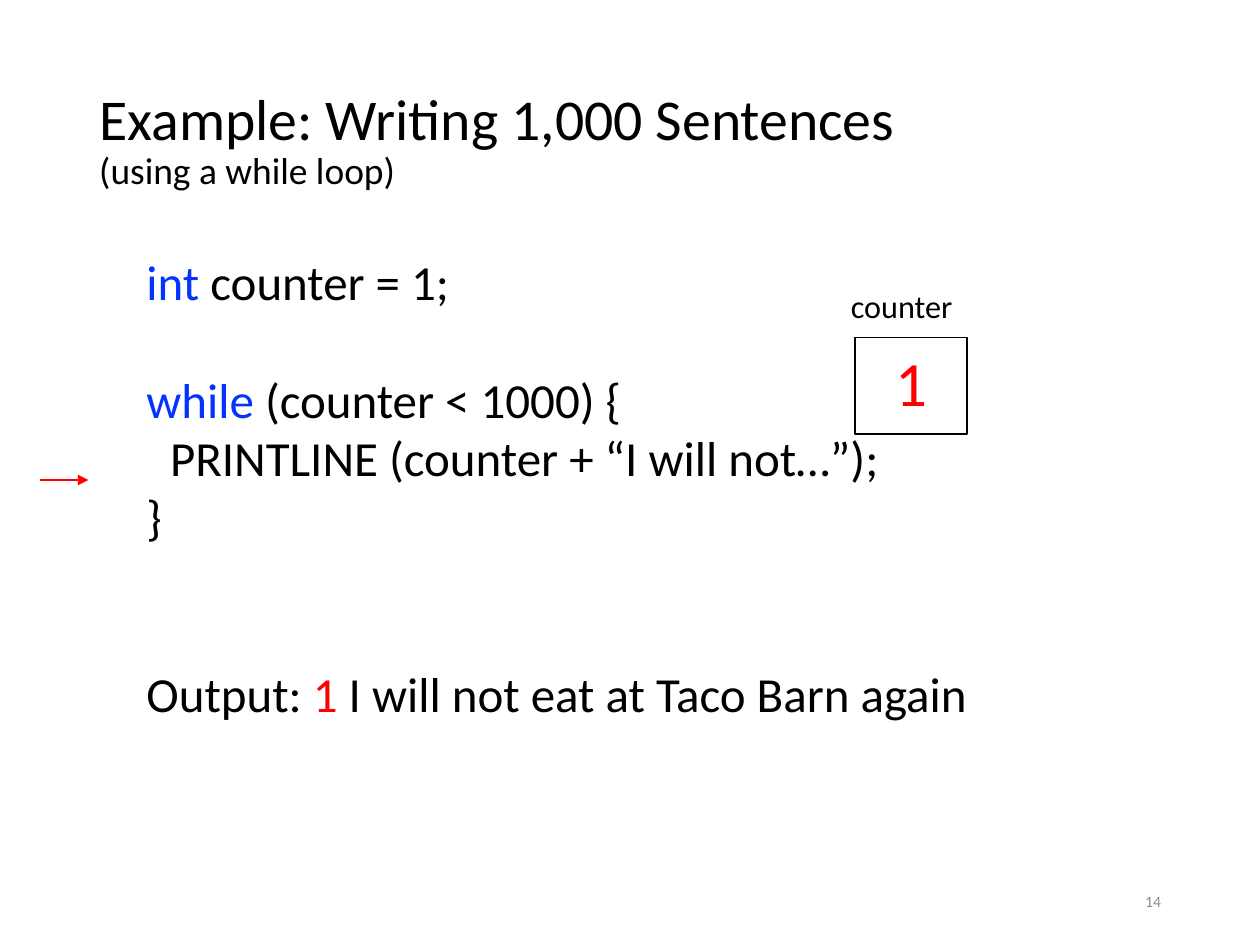
from lxml import etree
from pptx import Presentation
from pptx.dml.color import RGBColor
from pptx.enum.shapes import MSO_CONNECTOR, MSO_SHAPE
from pptx.enum.text import MSO_ANCHOR, MSO_AUTO_SIZE, PP_ALIGN
from pptx.oxml.ns import qn
from pptx.util import Pt

LEFT, RIGHT, CENTER = PP_ALIGN.LEFT, PP_ALIGN.RIGHT, PP_ALIGN.CENTER
TOP, MIDDLE = MSO_ANCHOR.TOP, MSO_ANCHOR.MIDDLE
RECTANGLE, STRAIGHT = MSO_SHAPE.RECTANGLE, MSO_CONNECTOR.STRAIGHT
NO_AUTOFIT = MSO_AUTO_SIZE.NONE

FONT = "Calibri"
COLORS = {"text": "000000", "keyword": "0432FF", "value": "FF0000", "number": "8C8C8C"}
CODE_SIZE = 28
LINE_GAP = 3.2
LINE_PITCH = 34
CODE_LINES = [
    (0, [("int ", "keyword"), ("counter = 1;", "text")]),
    (1, [("while", "keyword"), (" (counter < 1000) {", "text")]),
    (0, [("\tPRINTLINE (counter + “I will not…”);", "text")]),
    (0, [("}", "text")]),
    (2, [("Output: ", "text"), ("1", "value"), (" I will not eat at Taco Barn again", "text")]),
]


def color(name):
    """Return the named colour."""
    return RGBColor.from_string(COLORS[name])


def apply_format(target, values):
    """Set each attribute of the target from a dict of values."""
    for name, value in values.items():
        setattr(target, name, value)


def place(shape, box):
    """Move a shape to a box of left, top, width and height in points."""
    apply_format(shape, dict(zip(("left", "top", "width", "height"), map(Pt, box))))


def add_run(paragraph, text, size, color_name):
    """Add one formatted run to a paragraph."""
    run = paragraph.add_run()
    run.text = text
    apply_format(run.font, {"name": FONT, "size": Pt(size)})
    run.font.color.rgb = color(color_name)


def add_label(slide, box, text, size, color_name, alignment=LEFT, anchor=TOP, wrap=False):
    """Add a one-line text box."""
    frame = slide.shapes.add_textbox(*map(Pt, box)).text_frame
    apply_format(frame, {"word_wrap": wrap, "vertical_anchor": anchor})
    frame.paragraphs[0].alignment = alignment
    add_run(frame.paragraphs[0], text, size, color_name)


def fill_title(shape, box):
    """Write the heading and its smaller second line."""
    place(shape, box)
    frame = shape.text_frame
    apply_format(frame, {"auto_size": NO_AUTOFIT, "vertical_anchor": MIDDLE})
    paragraph = frame.paragraphs[0]
    apply_format(paragraph, {"alignment": LEFT, "line_spacing": 0.9})
    add_run(paragraph, "Example: Writing 1,000 Sentences", 33, "text")
    paragraph.add_line_break()
    add_run(paragraph, "(using a while loop)", 21.4, "text")


def fill_code(shape, box):
    """Write the program and its output, spacing the groups apart."""
    place(shape, box)
    frame = shape.text_frame
    frame.auto_size = NO_AUTOFIT
    for index, (skipped_lines, runs) in enumerate(CODE_LINES):
        paragraph = frame.add_paragraph() if index else frame.paragraphs[0]
        gap = LINE_GAP + skipped_lines * LINE_PITCH if index else 0
        apply_format(paragraph, {"level": 1, "line_spacing": 0.9, "space_before": Pt(gap)})
        properties = paragraph._p.get_or_add_pPr()
        properties.set("marL", str(Pt(40.5)))
        properties.set("indent", str(Pt(-13.5)))
        etree.SubElement(properties, qn("a:buNone"))
        for text, color_name in runs:
            add_run(paragraph, text, CODE_SIZE, color_name)


def add_variable(slide, box):
    """Draw the memory cell of the counter with its name above and value inside."""
    left, top, width, height = box
    cell = slide.shapes.add_shape(RECTANGLE, *map(Pt, box))
    cell.shadow.inherit = False
    cell.fill.background()
    cell.line.color.rgb = color("text")
    cell.line.width = Pt(0.75)
    add_label(slide, (left - 9.4, top - 33, 76.3, 29.5), "counter", 18.4, "text")
    add_label(slide, (left + 15, top, width - 30, 51), "1", 36, "value", CENTER)


def add_step_arrow(slide, left, top, length):
    """Draw the arrow that marks the current line."""
    arrow = slide.shapes.add_connector(STRAIGHT, Pt(left), Pt(top), Pt(left + length), Pt(top))
    arrow.line.color.rgb = color("value")
    arrow.line.width = Pt(0.75)
    etree.SubElement(arrow.line._get_or_add_ln(), qn("a:tailEnd"), type="triangle")
    etree.SubElement(arrow._element.spPr, qn("a:effectLst"))


def main():
    """Build and save the slide."""
    presentation = Presentation()
    apply_format(presentation, {"slide_width": Pt(720), "slide_height": Pt(540)})
    slide = presentation.slides.add_slide(presentation.slide_layouts[1])
    fill_title(slide.shapes.title, (49.5, 28.75, 621, 104.4))
    fill_code(slide.placeholders[1], (49.5, 143.75, 621, 342.6))
    add_variable(slide, (488.6, 193, 64, 55))
    add_step_arrow(slide, 23, 274.3, 27.5)
    add_label(slide, (508.5, 500.5, 162, 28.75), "14", 9, "number", RIGHT, MIDDLE, True)
    presentation.save("out.pptx")


if __name__ == "__main__":
    main()
